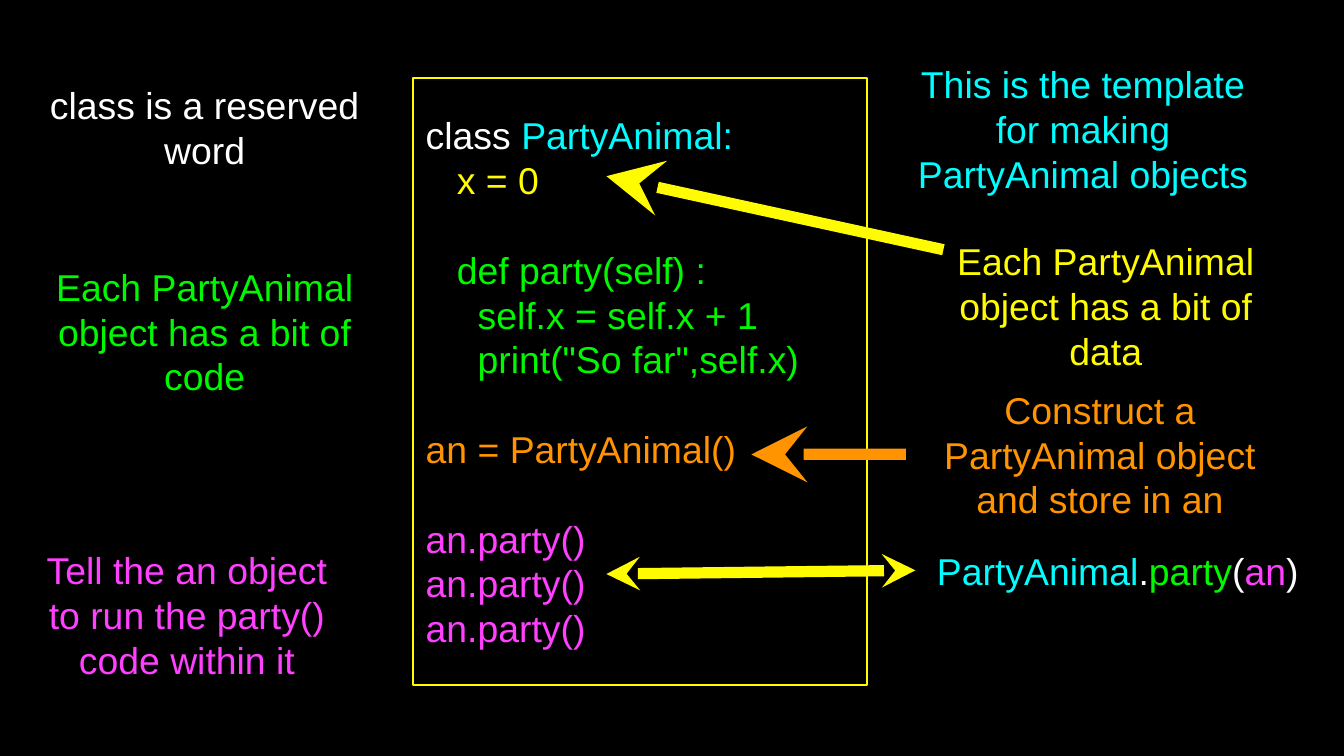
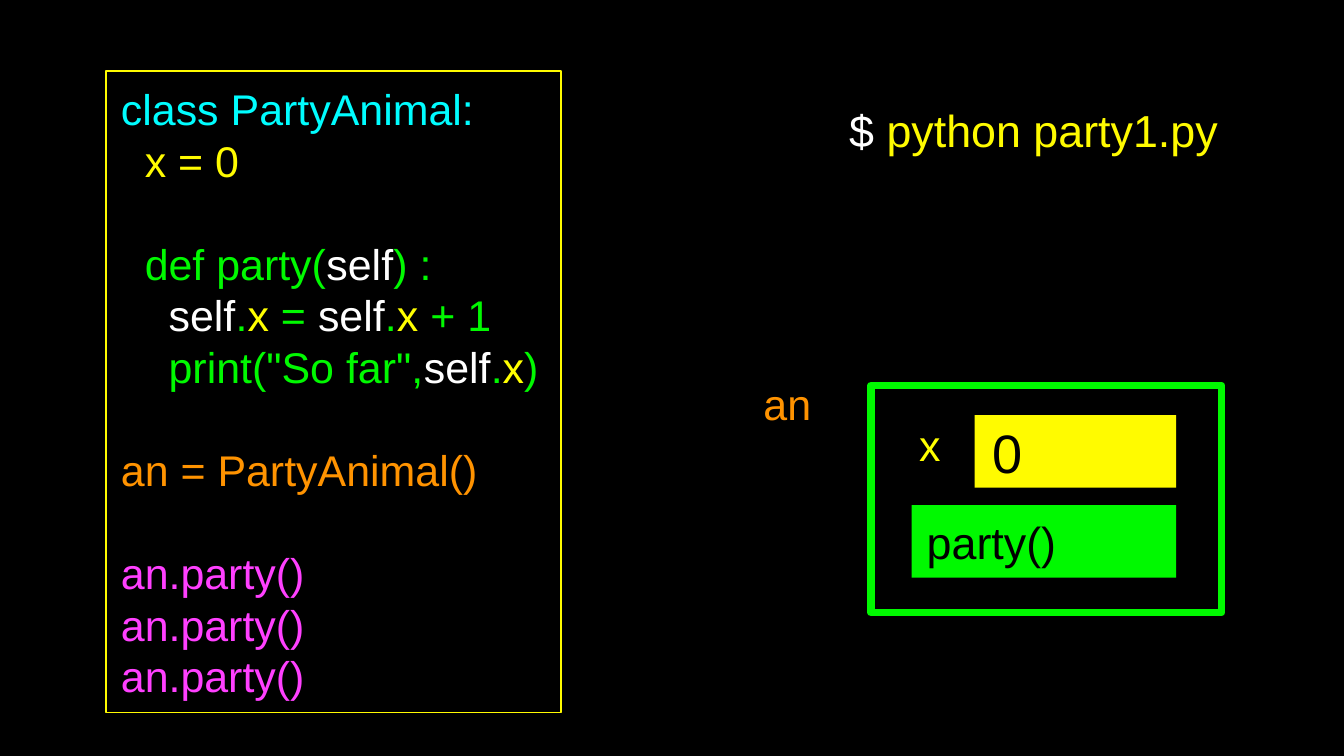
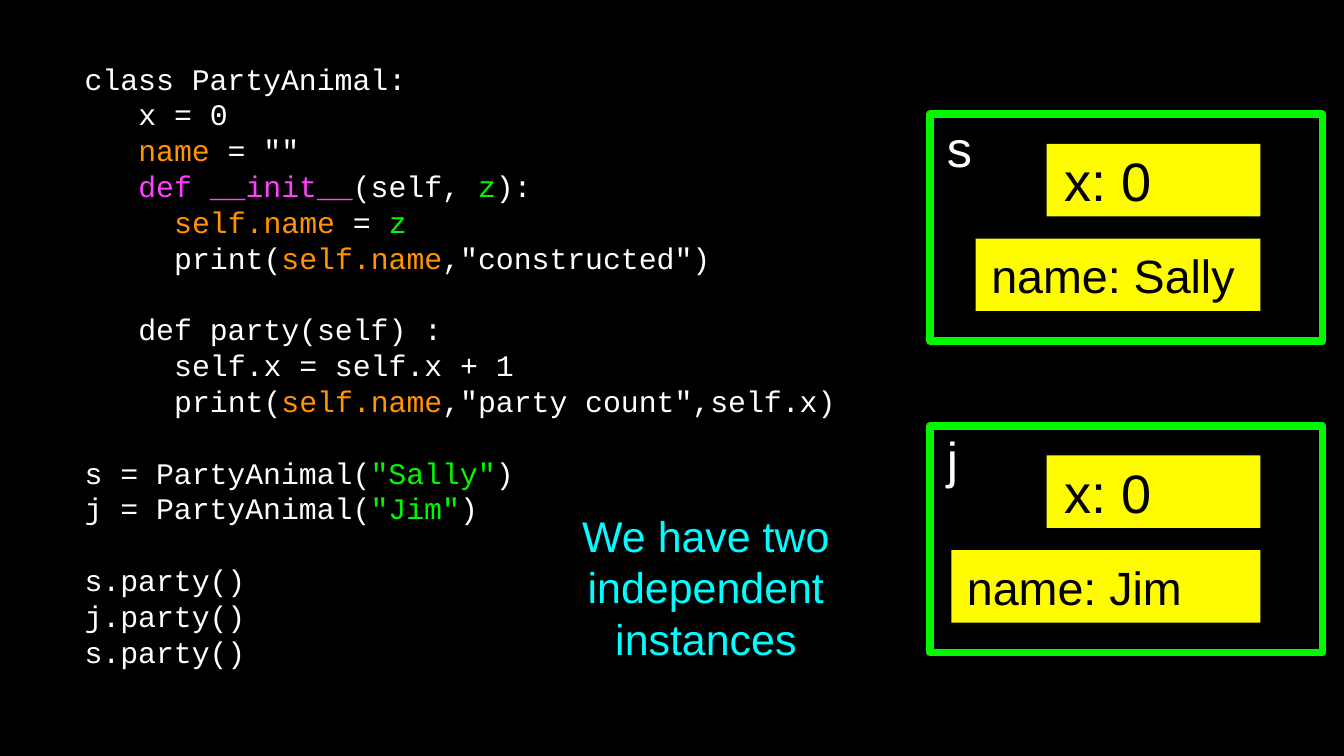
import lxml.etree
import pptx
import pptx.dml.color
import pptx.enum.shapes
import pptx.enum.text
import pptx.oxml.ns
import pptx.util

Cm = pptx.util.Cm
Pt = pptx.util.Pt
RGBColor = pptx.dml.color.RGBColor
Anchor = pptx.enum.text.MSO_ANCHOR
Align = pptx.enum.text.PP_ALIGN
qn = pptx.oxml.ns.qn

BLACK = RGBColor(0x00, 0x00, 0x00)
WHITE = RGBColor(0xFF, 0xFF, 0xFF)
GOLD = RGBColor(0xFF, 0xFB, 0x00)
YELLOW = RGBColor(0xFF, 0xFF, 0x00)
CYAN = RGBColor(0x00, 0xFD, 0xFF)
GREEN = RGBColor(0x00, 0xF9, 0x00)
ORANGE = RGBColor(0xFF, 0x93, 0x00)
PINK = RGBColor(0xFF, 0x40, 0xFF)

SANS = "Arial"
MONO = "Courier New"
SPACE = {SANS: 0.278, MONO: 0.6}
LEADING = 1.2
PAD = 0.05

CALLS = [
    None,
    (1, ("an = PartyAnimal()", ORANGE)),
    None,
    *[(1, ("an.party()", PINK))] * 3,
]


def write(shape, lines, size, font=SANS, align=Align.LEFT, anchor=Anchor.MIDDLE, top=PAD):
    """Fill a shape with lines of (indent columns, (text, colour), ...); None skips a line."""
    frame = shape.text_frame
    frame.word_wrap = True
    frame.vertical_anchor = anchor
    frame.margin_left = frame.margin_right = frame.margin_bottom = Cm(PAD)
    frame.margin_top = Cm(top)
    para, skip = frame.paragraphs[0], False
    for row, line in enumerate(lines):
        if line is None:
            skip = True
            continue
        if row:
            para = frame.add_paragraph()
        cols, *parts = line
        para.alignment = align
        para.line_spacing = Pt(size * LEADING)
        para.space_before = Pt(size * LEADING if skip else 0)
        skip = False
        props = para._p.get_or_add_pPr()
        props.set("marL", str(Pt(cols * SPACE[font] * size)))
        props.set("indent", "0")
        for text, color in parts:
            run = para.add_run()
            run.text = text
            run.font.name = font
            run.font.size = Pt(size)
            run.font.color.rgb = color


def add_label(shapes, place, lines, size, **style):
    """Add a text box."""
    box = shapes.add_textbox(*map(Cm, place))
    write(box, lines, size, **style)
    return box


def add_note(shapes, place, text, color, size=20):
    """Add a centred note in one colour."""
    return add_label(shapes, place, [(0, (text, color))], size, align=Align.CENTER)


def add_rect(shapes, place):
    """Add a plain rectangle without shadow."""
    rect = shapes.add_shape(pptx.enum.shapes.MSO_SHAPE.RECTANGLE, *map(Cm, place))
    rect.shadow.inherit = False
    return rect


def add_frame(shapes, place, color, width):
    """Add an outlined rectangle."""
    frame = add_rect(shapes, place)
    frame.fill.background()
    frame.line.color.rgb = color
    frame.line.width = Pt(width)
    return frame


def add_cell(shapes, place, text, color, size):
    """Add a filled rectangle that shows one value."""
    cell = add_rect(shapes, place)
    cell.fill.solid()
    cell.fill.fore_color.rgb = color
    cell.line.fill.background()
    write(cell, [(1, (text, BLACK))], size)


def add_arrow(shapes, start, end, color, ends=("headEnd",), scale="lg", goal=None):
    """Add a thick arrow, joined to the left side of its goal if given."""
    kind = pptx.enum.shapes.MSO_CONNECTOR.STRAIGHT
    arrow = shapes.add_connector(kind, *map(Cm, start + end))
    if goal is not None:
        arrow.end_connect(goal, 1)
    arrow.line.color.rgb = color
    arrow.line.width = Pt(6)
    for name in ends:
        tip = lxml.etree.SubElement(arrow.line._get_or_add_ln(), qn("a:" + name))
        tip.set("type", "stealth")
        tip.set("w", scale)
        tip.set("len", scale)
    lxml.etree.SubElement(arrow._element.spPr, qn("a:effectLst"))


def add_card(shapes, top, name, value, width):
    """Add a grouped object card with its x and name cells."""
    group = shapes.add_group_shape().shapes
    right, high = 23.82, 1.37
    frame = add_frame(group, (17.58, top, 7.42, 4.29), GREEN, 4)
    write(frame, [(1, (name, WHITE))], 27, anchor=Anchor.TOP)
    add_cell(group, (right - 4.04, top + 0.56, 4.04, high), "x: 0", GOLD, 29)
    add_cell(group, (right - width, top + 2.35, width, high), "name: " + value, GOLD, 25)


def draw_parts(shapes):
    """Draw the class listing with notes around it."""
    code = add_frame(shapes, (7.8, 1.47, 8.59, 11.48), GOLD, 1)
    write(code, [
        (1, ("class ", WHITE), ("PartyAnimal:", CYAN)),
        (4, ("x = 0", GOLD)),
        None,
        (4, ("def party(self) :", GREEN)),
        (6, ("self.x = self.x + 1", GREEN)),
        (6, ('print("So far",self.x)', GREEN)),
        *CALLS,
    ], 20)
    for place, text, color in [
        ((17.12, 1, 6.7, 2.87), "This is the template for making PartyAnimal objects", CYAN),
        ((0.2, 1.47, 7.34, 1.85), "class is a reserved word", WHITE),
        ((17.37, 4.42, 7.06, 2.72), "Each PartyAnimal object has a bit of data", GOLD),
        ((0.2, 4.9, 7.34, 2.72), "Each PartyAnimal object has a bit of code", GREEN),
        ((0.69, 10.26, 5.69, 2.72), "Tell the an object to run the party() code within it", PINK),
    ]:
        add_note(shapes, place, text, color)
    build = add_note(shapes, (17.12, 7.34, 7.34, 2.49),
                     "Construct a PartyAnimal object and store in an", ORANGE)
    call = add_label(shapes, (17.3, 10.26, 7.65, 1.04), [
        (0, ("PartyAnimal", CYAN), (".", WHITE), ("party", GREEN),
         ("(", WHITE), ("an", PINK), (")", WHITE)),
    ], 20, align=Align.CENTER)
    add_arrow(shapes, (11.46, 3.33), (17.83, 4.72), GOLD)
    add_arrow(shapes, (11.46, 10.85), (17.3, 10.78), GOLD,
              ends=("headEnd", "tailEnd"), scale="med", goal=call)
    add_arrow(shapes, (14.2, 8.59), (17.12, 8.59), ORANGE, goal=build)


def draw_run(shapes):
    """Draw the listing beside the object it makes."""
    field = [("self", WHITE), (".", GREEN), ("x", YELLOW)]
    code = add_frame(shapes, (2.01, 1.35, 8.59, 12.12), GOLD, 1)
    write(code, [
        (1, ("class PartyAnimal:", CYAN)),
        (3, ("x = 0", GOLD)),
        None,
        (3, ("def party(", GREEN), ("self", WHITE), (") :", GREEN)),
        (5, *field, (" = ", GREEN), *field, (" + 1", GREEN)),
        (5, ('print("So far",', GREEN), *field, (")", GREEN)),
        *CALLS,
    ], 23)
    add_frame(shapes, (16.46, 7.29, 6.63, 4.29), GREEN, 4)
    add_cell(shapes, (18.42, 7.85, 3.81, 1.37), "0", GOLD, 29)
    add_cell(shapes, (17.23, 9.55, 5, 1.37), "party()", GREEN, 24)
    add_label(shapes, (14.38, 6.96, 1.52, 2.31), [(0, ("an", ORANGE))], 23,
              anchor=Anchor.TOP, top=0.18)
    add_note(shapes, (17.04, 7.92, 1.07, 0.97), "x", YELLOW, 23)
    add_label(shapes, (16, 1.68, 8.59, 3.58),
              [(0, ("$ ", WHITE), ("python party1.py", GOLD))], 24,
              anchor=Anchor.TOP, top=0.26)


def draw_pair(shapes):
    """Draw the listing with two objects of the class."""
    name = ("self.name", ORANGE)
    add_label(shapes, (1.55, 0.48, 15.65, 12.83), [
        (0, ("class PartyAnimal:", WHITE)),
        (3, ("x = 0", WHITE)),
        (3, ("name", ORANGE), (' = ""', WHITE)),
        (3, ("def __init__", PINK), ("(self, ", WHITE), ("z", GREEN), ("):", WHITE)),
        (5, name, (" = ", WHITE), ("z", GREEN)),
        (5, ("print(", WHITE), name, (',"constructed")', WHITE)),
        None,
        (3, ("def party(self) :", WHITE)),
        (5, ("self.x = self.x + 1", WHITE)),
        (5, ("print(", WHITE), name, (',"party count",self.x)', WHITE)),
        None,
        (0, ("s = PartyAnimal(", WHITE), ('"Sally"', GREEN), (")", WHITE)),
        (0, ("j = PartyAnimal(", WHITE), ('"Jim"', GREEN), (")", WHITE)),
        None,
        *[(0, (who + ".party()", WHITE)) for who in "sjs"],
    ], 16, font=MONO)
    add_card(shapes, 2.16, "s", "Sally", 5.38)
    add_card(shapes, 8.05, "j", "Jim", 5.84)
    add_note(shapes, (9.98, 9.65, 6.73, 2.87), "We have two independent instances", CYAN, 23)


def main():
    """Build and save the deck."""
    deck = pptx.Presentation()
    deck.slide_width, deck.slide_height = Cm(25.4), Cm(14.29)
    ground = deck.slide_master.background.fill
    ground.solid()
    ground.fore_color.rgb = BLACK
    blank = deck.slide_layouts[6]
    for draw in (draw_parts, draw_run, draw_pair):
        draw(deck.slides.add_slide(blank).shapes)
    deck.save("out.pptx")


if __name__ == "__main__":
    main()
